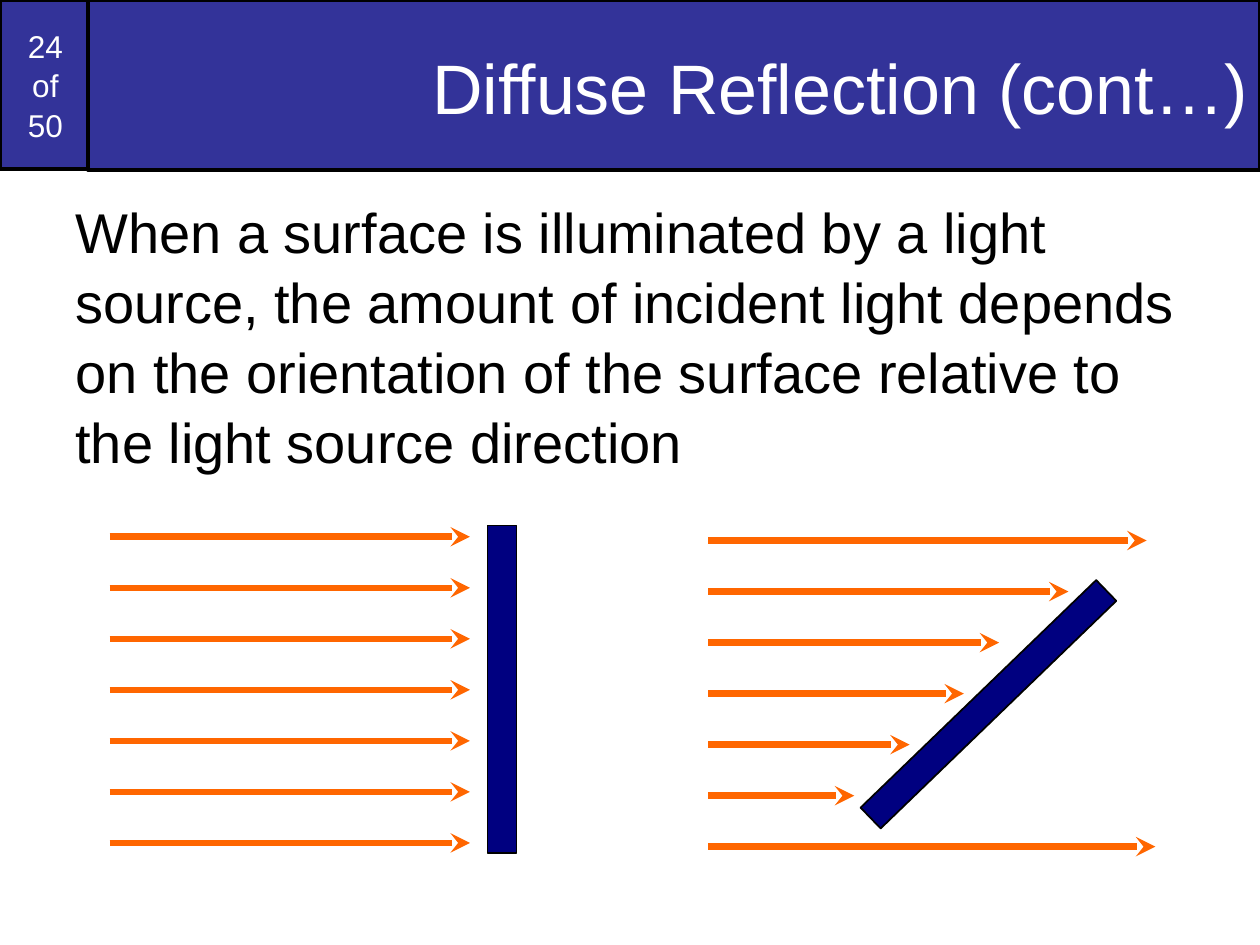
from lxml import etree
from pptx import Presentation
from pptx.dml.color import RGBColor
from pptx.enum import shapes, text
from pptx.oxml import ns
from pptx.util import Inches, Pt

COLORS = {
    "banner": "333399",
    "surface": "000080",
    "ray": "FF6600",
    "black": "000000",
    "white": "FFFFFF",
}


def color(name):
    return RGBColor.from_string(COLORS[name])


def write(shape, words, size, ink, align, anchor):
    frame = shape.text_frame
    frame.word_wrap = True
    frame.auto_size = text.MSO_AUTO_SIZE.NONE
    frame.vertical_anchor = anchor
    paragraph = frame.paragraphs[0]
    paragraph.text = words
    paragraph.alignment = align
    paragraph.line_spacing = 1.04
    for run in paragraph.runs:
        run.font.name = "Arial"
        run.font.size = Pt(size)
        run.font.color.rgb = color(ink)


presentation = Presentation()
presentation.slide_width = Inches(10)
presentation.slide_height = Inches(7.5)
slide = presentation.slides.add_slide(presentation.slide_layouts[5])

# Banner: the title overlaps the edge of the page counter
title = slide.shapes.title
title.left, title.top = Inches(0.7), Inches(0)
title.width, title.height = Inches(9.3), Inches(1.35)
counter = slide.shapes.add_shape(
    shapes.MSO_SHAPE.RECTANGLE, Inches(0), Inches(0), Inches(0.72), Inches(1.34))
counter.shadow.inherit = False
title._element.addprevious(counter._element)
for shape in (counter, title):
    shape.fill.solid()
    shape.fill.fore_color.rgb = color("banner")
    shape.line.color.rgb = color("black")
    shape.line.width = Pt(2)
write(counter, "24\nof\n50", size=18, ink="white",
      align=text.PP_ALIGN.CENTER, anchor=text.MSO_ANCHOR.MIDDLE)
write(title, "Diffuse Reflection (cont…)", size=40, ink="white",
      align=text.PP_ALIGN.RIGHT, anchor=text.MSO_ANCHOR.MIDDLE)

body = slide.shapes.add_textbox(Inches(0.5), Inches(1.5), Inches(9), Inches(6))
write(body, "When a surface is illuminated by a light source, the amount of "
      "incident light depends on the orientation of the surface relative to "
      "the light source direction", size=32, ink="black",
      align=text.PP_ALIGN.LEFT, anchor=text.MSO_ANCHOR.TOP)

# Each diagram: surface left, top and rotation, then ray start, first ray y, ray ends
diagrams = [
    (3.87, 4.17, 0, 0.87, 4.26, [3.73] * 7),
    (7.73, 4.29, 46, 5.62, 4.29, [9.1, 8.48, 7.93, 7.65, 7.22, 6.78, 9.17]),
]
RAY_GAP = 0.405

for left, top, rotation, start, first_y, ends in diagrams:
    surface = slide.shapes.add_shape(
        shapes.MSO_SHAPE.RECTANGLE, Inches(left), Inches(top), Inches(0.23), Inches(2.6))
    surface.shadow.inherit = False
    surface.rotation = rotation
    surface.fill.solid()
    surface.fill.fore_color.rgb = color("surface")
    surface.line.color.rgb = color("black")
    surface.line.width = Pt(1)

    for index, end in enumerate(ends):
        y = Inches(first_y + index * RAY_GAP)
        ray = slide.shapes.add_connector(
            shapes.MSO_CONNECTOR.STRAIGHT, Inches(start), y, Inches(end), y)
        ray.line.color.rgb = color("ray")
        ray.line.width = Pt(3.75)
        etree.SubElement(ray.line._get_or_add_ln(), ns.qn("a:tailEnd"), type="stealth")
        etree.SubElement(ray._element.spPr, ns.qn("a:effectLst"))

presentation.save("out.pptx")
